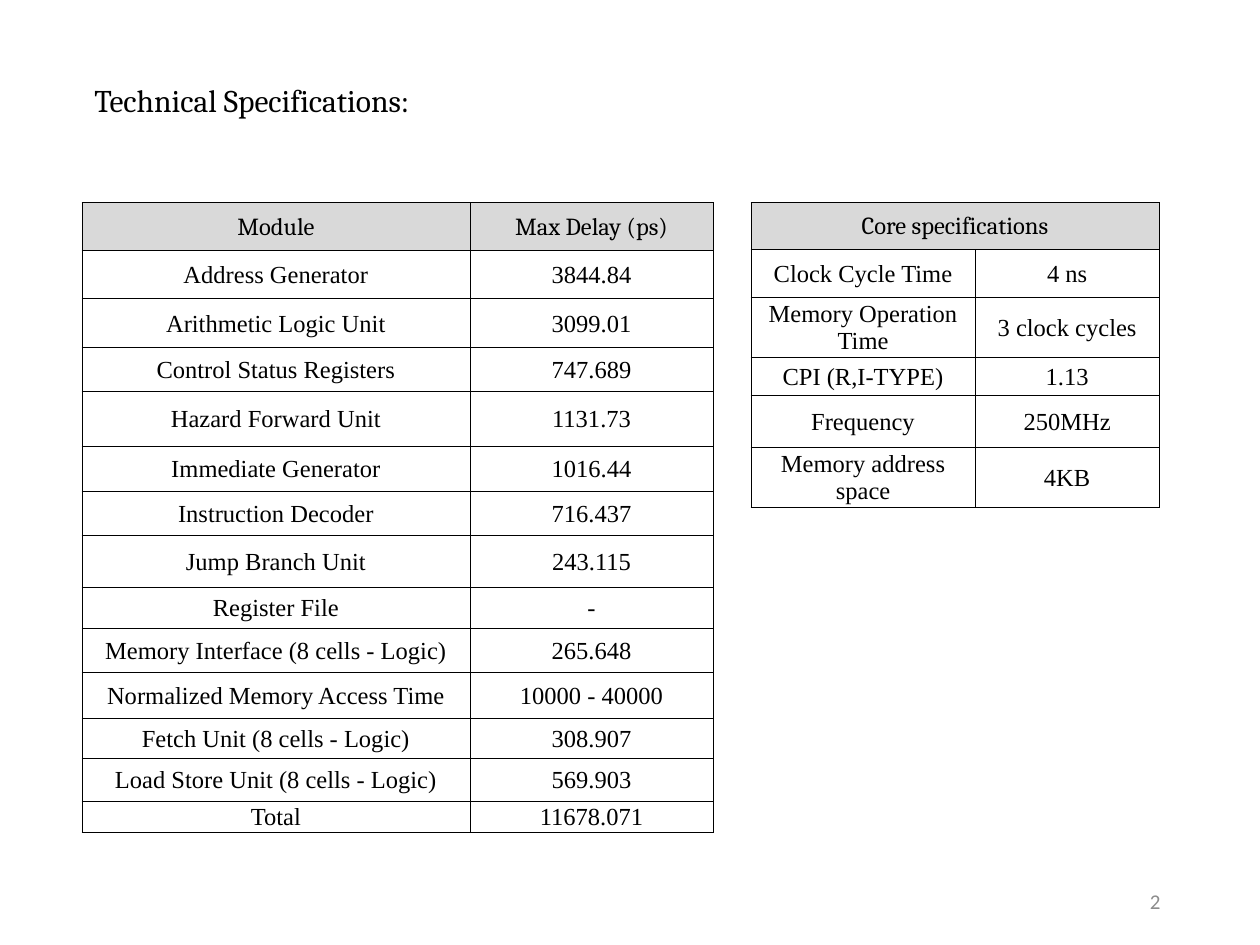
"""Build the technical specifications slide with its two tables."""
from lxml.etree import SubElement
from pptx import Presentation
from pptx.dml.color import RGBColor
from pptx.enum.text import MSO_ANCHOR as Anchor, MSO_AUTO_SIZE as AutoSize, PP_ALIGN as Align
from pptx.oxml.ns import qn
from pptx.util import Inches, Pt

COLORS = {"text": "000000", "border": "000000", "header": "D9D9D9", "number": "8C8C8C"}

MODULES = [
    ("Module", "Max Delay (ps)", 0.38),
    ("Address Generator", "3844.84", 0.38),
    ("Arithmetic Logic Unit", "3099.01", 0.39),
    ("Control Status Registers", "747.689", 0.35),
    ("Hazard Forward Unit", "1131.73", 0.43),
    ("Immediate Generator", "1016.44", 0.36),
    ("Instruction Decoder", "716.437", 0.35),
    ("Jump Branch Unit", "243.115", 0.41),
    ("Register File", "-", 0.33),
    ("Memory Interface (8 cells - Logic)", "265.648", 0.35),
    ("Normalized Memory Access Time", "10000 - 40000", 0.36),
    ("Fetch Unit (8 cells - Logic)", "308.907", 0.32),
    ("Load Store Unit (8 cells - Logic)", "569.903", 0.34),
    ("Total", "11678.071", 0.25),
]

CORE = [
    ("Core specifications", None, 0.37),
    ("Clock Cycle Time", "4 ns", 0.38),
    ("Memory Operation Time", "3 clock cycles", 0.48),
    ("CPI (R,I-TYPE)", "1.13", 0.3),
    ("Frequency", "250MHz", 0.41),
    ("Memory address space", "4KB", 0.48),
]


def write_text(frame, text, font="Times New Roman", size=14, color="text", align=Align.CENTER):
    paragraph = frame.paragraphs[0]
    paragraph.alignment = align
    run = paragraph.add_run()
    run.text = text
    run.font.name = font
    run.font.size = Pt(size)
    run.font.color.rgb = RGBColor.from_string(COLORS[color])


class SlideBuilder:
    def __init__(self, slide, heading_font="Cambria", border_width=0.5):
        self.slide = slide
        self.heading_font = heading_font
        self.border_width = border_width

    def text(self, text, left, top, width, height, wrap=True, anchor=Anchor.TOP,
             auto_size=AutoSize.NONE, **text_format):
        shape = self.slide.shapes.add_textbox(
            Inches(left), Inches(top), Inches(width), Inches(height))
        frame = shape.text_frame
        frame.word_wrap = wrap
        frame.auto_size = auto_size
        frame.vertical_anchor = anchor
        write_text(frame, text, **text_format)

    def border(self, cell):
        properties = cell._tc.get_or_add_tcPr()
        for side in ("a:lnL", "a:lnR", "a:lnT", "a:lnB"):
            line = SubElement(properties, qn(side), w=str(Pt(self.border_width)))
            fill = SubElement(line, qn("a:solidFill"))
            SubElement(fill, qn("a:srgbClr"), val=COLORS["border"])

    def cell(self, cell, text, header):
        self.border(cell)
        cell.margin_left = cell.margin_right = cell.margin_top = Inches(0.01)
        cell.margin_bottom = Inches(0)
        cell.vertical_anchor = Anchor.MIDDLE
        if header:
            cell.fill.solid()
            cell.fill.fore_color.rgb = RGBColor.from_string(COLORS["header"])
        else:
            cell.fill.background()
        if text is not None:
            font = {"font": self.heading_font} if header else {}
            write_text(cell.text_frame, text, **font)

    def table(self, rows, left, top, widths):
        height = sum(row[-1] for row in rows)
        table = self.slide.shapes.add_table(
            len(rows), len(widths), Inches(left), Inches(top),
            Inches(sum(widths)), Inches(height)).table
        for column, width in zip(table.columns, widths):
            column.width = Inches(width)
        for row_index, (*texts, row_height) in enumerate(rows):
            table.rows[row_index].height = Inches(row_height)
            for column_index, text in enumerate(texts):
                self.cell(table.cell(row_index, column_index), text, row_index == 0)
            if texts[-1] is None:
                table.cell(row_index, 0).merge(table.cell(row_index, len(widths) - 1))


def main():
    presentation = Presentation()
    presentation.slide_width = Inches(10)
    presentation.slide_height = Inches(7.5)
    builder = SlideBuilder(presentation.slides.add_slide(presentation.slide_layouts[6]))
    builder.text("Technical Specifications:", 0.65, 0.59, 3, 0.4, wrap=False,
                 auto_size=AutoSize.SHAPE_TO_FIT_TEXT, font="Cambria", size=18, align=Align.LEFT)
    builder.text("2", 7.06, 6.95, 2.25, 0.4, anchor=Anchor.MIDDLE,
                 font="Calibri", size=12, color="number", align=Align.RIGHT)
    builder.table(MODULES, 0.65, 1.61, (3.08, 1.93))
    builder.table(CORE, 5.96, 1.61, (1.78, 1.46))
    presentation.save("out.pptx")


if __name__ == "__main__":
    main()
